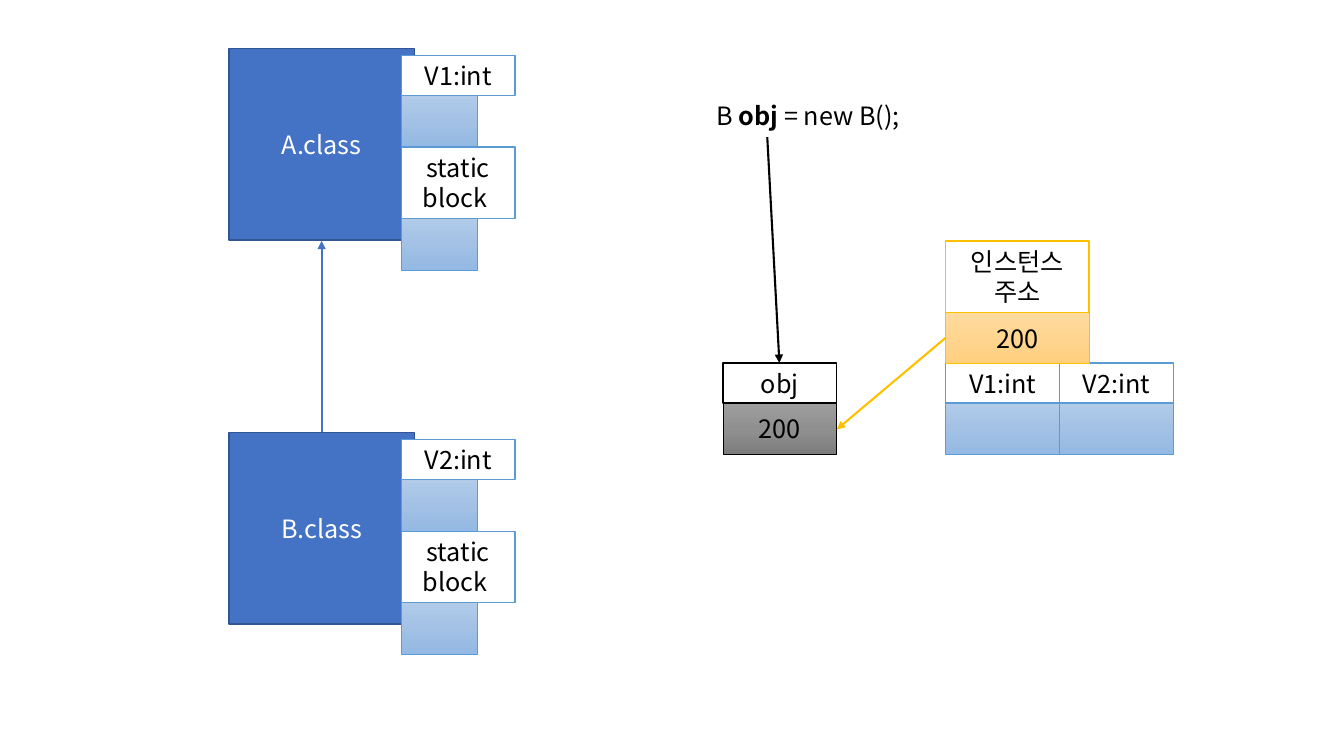
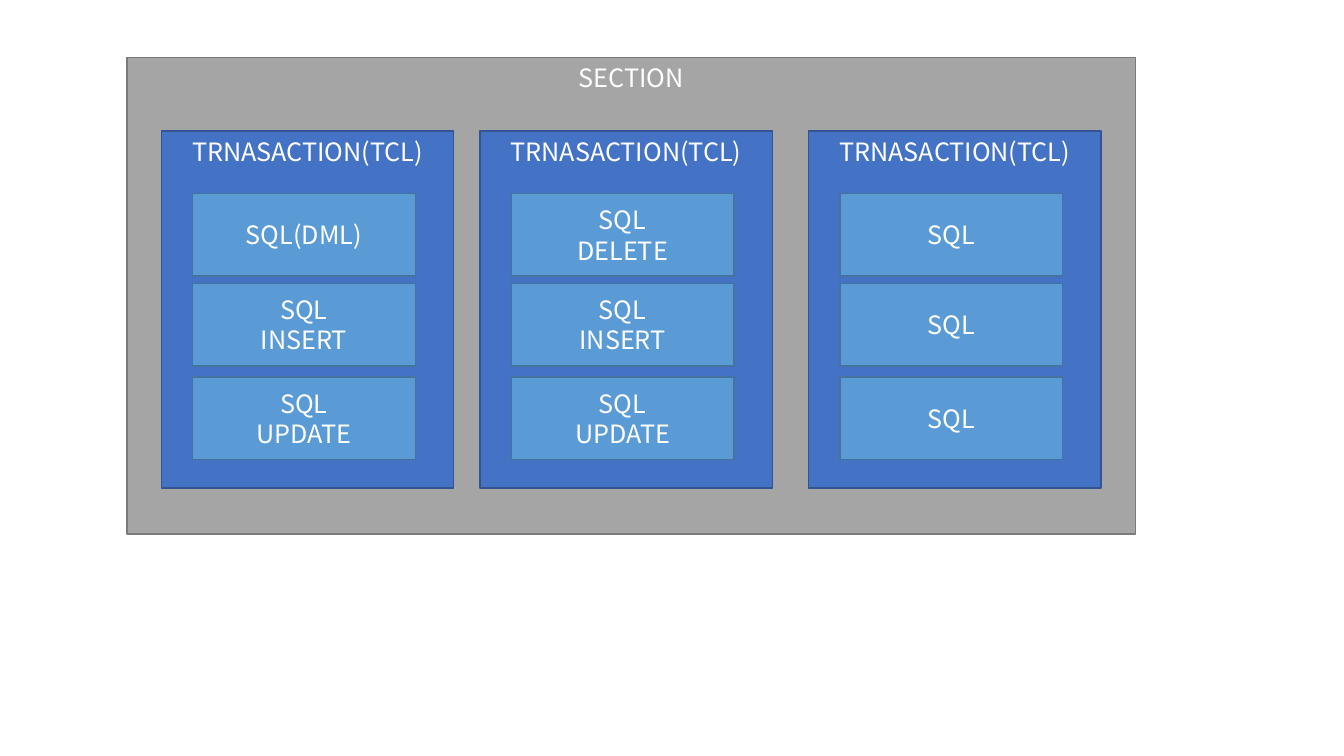
from copy import deepcopy

from lxml.etree import SubElement
from pptx import Presentation
from pptx.dml.color import RGBColor
from pptx.enum.shapes import MSO_CONNECTOR as LINK, MSO_SHAPE as SHAPE
from pptx.enum.text import MSO_ANCHOR as ANCHOR, MSO_AUTO_SIZE as AUTO, PP_ALIGN as ALIGN
from pptx.oxml.ns import qn
from pptx.util import Inches, Pt

FONT = "Noto Sans CJK KR"
COLORS = {
    "white": "FFFFFF", "black": "000000",
    "blue": "4472C4", "navy": "325491",
    "sky": "5B9BD5", "steel": "43739E",
    "gray": "A5A5A5", "slate": "7A7A7A",
    "gold": "FFC000",
}
# Gradient stops, top to bottom, for each line colour
FADES = {
    "sky": ("B1CBE9", "A3C1E5", "93B9E4"),
    "black": ("9D9D9D", "909090", "7C7C7C"),
    "gold": ("FFDB9E", "FFD590", "FFD07C"),
}
TEXT = {"name": FONT, "size": Pt(18)}
MID = {"word_wrap": True, "vertical_anchor": ANCHOR.MIDDLE}
TOP = {"word_wrap": True, "vertical_anchor": ANCHOR.TOP}
GROW = {**TOP, "auto_size": AUTO.SHAPE_TO_FIT_TEXT}
LINE_H = {1: 0.4, 2: 0.71}
CELL_H = 0.51


def rgb(name):
    return RGBColor.from_string(COLORS[name])


def style(item, values):
    for key, value in values.items():
        setattr(item, key, value)


def write(frame, text, color, align=ALIGN.CENTER, form=MID):
    """Fill a frame: one paragraph a line, with bold between asterisks."""
    style(frame, form)
    for row, line in enumerate(text.split("\n")):
        para = frame.add_paragraph() if row else frame.paragraphs[0]
        para.alignment = align
        for part, words in enumerate(line.split("*")):
            run = para.add_run()
            run.text = words
            style(run.font, {**TEXT, "bold": part % 2 == 1})
            run.font.color.rgb = rgb(color)
            props = run.font._element
            SubElement(props, qn("a:ea")).set("typeface", FONT)


def fade(fill, tone, node):
    fill.gradient()
    fill.gradient_angle = 270
    stops = node.find(".//" + qn("a:gsLst"))
    stops.insert(1, deepcopy(stops[0]))
    for step, (stop, shade) in enumerate(zip(fill.gradient_stops, FADES[tone])):
        stop.position = step / 2
        stop.color.rgb = RGBColor.from_string(shade)


def box(slide, area, fill, line, text="", color="white", form=MID, width=1):
    """Draw a rectangle; no fill colour means the fade of its line colour."""
    shape = slide.shapes.add_shape(SHAPE.RECTANGLE, *map(Inches, area))
    shape.shadow.inherit = False
    if fill:
        shape.fill.solid()
        shape.fill.fore_color.rgb = rgb(fill)
    else:
        fade(shape.fill, line, shape._element.spPr)
    shape.line.color.rgb = rgb(line)
    shape.line.width = Pt(width)
    if text:
        write(shape.text_frame, text, color, form=form)


def field(slide, left, top, width, name, value="", tone="sky", cell=None):
    """Draw a name label over a value cell and return the bottom edge."""
    tall = LINE_H[name.count("\n") + 1]
    low = top + tall
    box(slide, (left, low, cell or width, CELL_H), None, tone, value, "black", width=0.5)
    box(slide, (left, top, width, tall), "white", tone, name, "black", GROW)
    return low + CELL_H


def arrow(slide, start, end, color):
    link = slide.shapes.add_connector(LINK.STRAIGHT, *map(Inches, start + end))
    link.line.color.rgb = rgb(color)
    link.line.width = Pt(1.5)
    props = link._element.spPr
    SubElement(props.find(qn("a:ln")), qn("a:tailEnd")).set("type", "triangle")
    SubElement(props, qn("a:effectLst"))


def note(slide, area, text):
    frame = slide.shapes.add_textbox(*map(Inches, area)).text_frame
    write(frame, text, "black", ALIGN.LEFT, GROW)


def unit(slide, top, name, var):
    """Draw a class with its variable and static block."""
    box(slide, (2.27, top, 1.84, 1.9), "blue", "navy", name)
    low = top + 0.07
    for label in (var, "static\nblock "):
        low = field(slide, 3.98, low, 1.13, label, cell=0.76)


def classes(slide):
    unit(slide, 0.48, "A.class", "V1:int")
    unit(slide, 4.29, "B.class", "V2:int")
    arrow(slide, (3.19, 4.29), (3.19, 2.39), "blue")
    for col, name in enumerate(("V1:int", "V2:int")):
        field(slide, 9.38 + col * 1.13, 3.6, 1.13, name)
    field(slide, 7.17, 3.6, 1.13, "obj", "200", "black")
    field(slide, 9.38, 2.39, 1.42, "인스턴스\n주소", "200", "gold")
    arrow(slide, (9.38, 3.35), (8.3, 4.26), "gold")
    note(slide, (7.01, 0.95, 5.29, 0.4), "B *obj* = new B();")
    arrow(slide, (7.61, 1.36), (7.73, 3.6), "black")


def section(slide):
    box(slide, (1.26, 0.57, 10, 4.73), "gray", "slate", "SECTION", form=TOP)
    groups = {
        1.6: ("SQL(DML)", "SQL\nINSERT", "SQL\nUPDATE"),
        4.76: ("SQL\nDELETE", "SQL\nINSERT", "SQL\nUPDATE"),
        8.02: ("SQL",) * 3,
    }
    for left, steps in groups.items():
        box(slide, (left, 1.3, 2.9, 3.54), "blue", "navy", "TRNASACTION(TCL)", form=TOP)
        for top, step in zip((1.92, 2.81, 3.74), steps):
            box(slide, (left + 0.31, top, 2.21, 0.82), "sky", "steel", step)


def main():
    deck = Presentation()
    style(deck, {"slide_width": Inches(13.33), "slide_height": Inches(7.5)})
    for draw in (classes, section):
        draw(deck.slides.add_slide(deck.slide_layouts[6]))
    deck.save("out.pptx")


if __name__ == "__main__":
    main()
